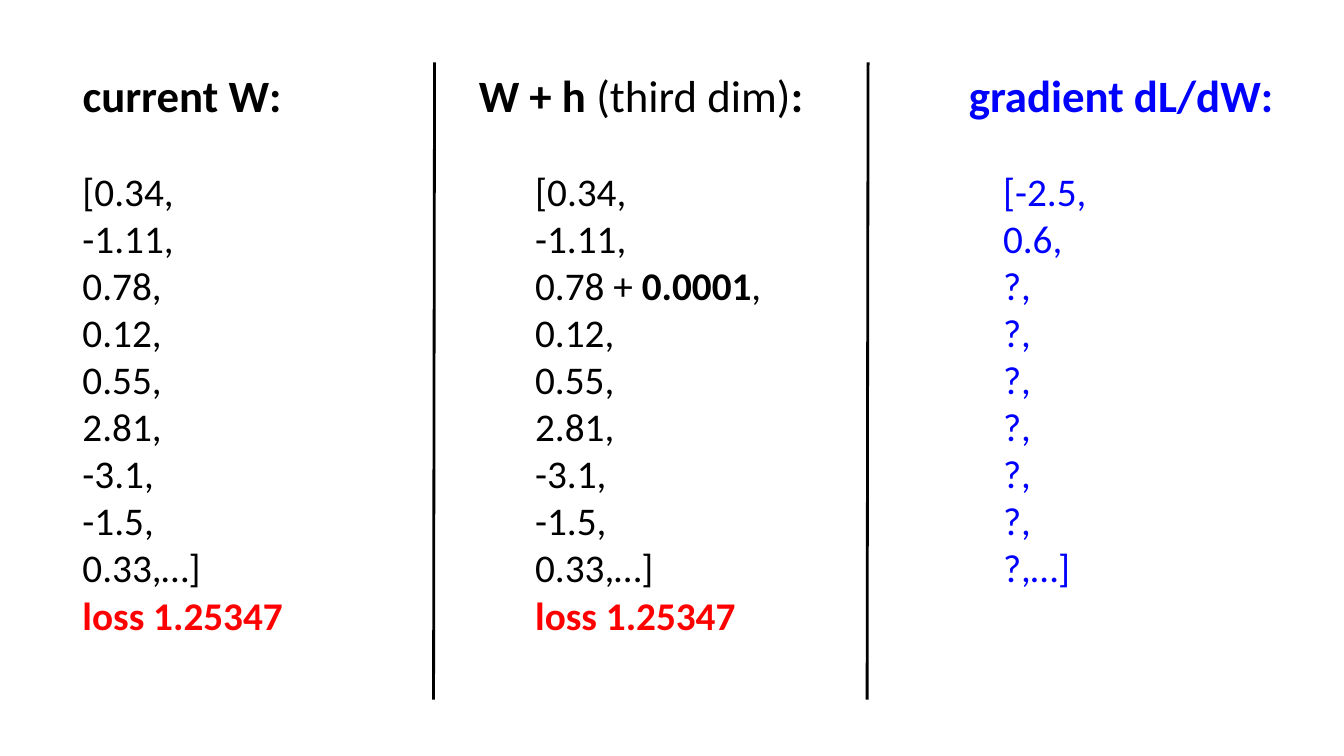
from lxml.etree import SubElement
from pptx import Presentation
from pptx.dml.color import RGBColor as RGB
from pptx.enum.shapes import MSO_CONNECTOR as LINE
from pptx.enum.text import MSO_AUTO_SIZE as FIT
from pptx.oxml.ns import qn
from pptx.util import Inches, Pt

COLORS = {"ink": "000000", "loss": "FF0000", "grad": "0000FF"}
TOP, BASE, LIST_TOP = 0.62, 6.94, 1.61

START = ["[0.34,", "-1.11,"]
REST = ["0.12,", "0.55,", "2.81,", "-3.1,", "-1.5,", "0.33,…]"]
LOSS = "loss 1.25347"


def color(name):
    return RGB.from_string(COLORS[name])


def add_text(slide, box, rows, size, tint, wrap):
    """Each row is a string, or a list of (text, bold) parts."""
    frame = slide.shapes.add_textbox(*map(Inches, box)).text_frame
    frame.word_wrap = wrap
    frame.auto_size = FIT.SHAPE_TO_FIT_TEXT
    for i, row in enumerate(rows):
        para = frame.add_paragraph() if i else frame.paragraphs[0]
        font = para.font
        font.name, font.size = "Calibri", Pt(size)
        font.color.rgb = color("loss" if row == LOSS else tint)
        if row == LOSS:
            font.bold = True
        parts = [(row, None)] if isinstance(row, str) else row
        for text, bold in parts:
            run = para.add_run()
            run.text = text
            if bold is not None:
                run.font.bold = bold


def add_column(slide, head_box, head, list_box, rows, tint="ink"):
    """Boxes are (left, width, height); tops are shared by all columns."""
    for top, box, lines, size, wrap in (
        (TOP, head_box, [head], 32, False),
        (LIST_TOP, list_box, rows, 28, True),
    ):
        left, wide, high = box
        add_text(slide, (left, top, wide, high), lines, size, tint, wrap)


def add_rule(slide, left):
    rule = slide.shapes.add_connector(
        LINE.STRAIGHT, Inches(left), Inches(TOP), Inches(left - 0.01), Inches(BASE))
    rule.line.color.rgb = color("ink")
    rule.line.width = Pt(2)
    SubElement(rule._element.spPr, qn("a:effectLst"))


def main():
    deck = Presentation()
    deck.slide_width, deck.slide_height = Inches(13.33), Inches(7.5)
    slide = deck.slides.add_slide(deck.slide_layouts[6])

    for left in (4.31, 8.61):
        add_rule(slide, left)

    add_column(slide, (0.72, 2.19, 0.64), [("current W:", True)],
               (0.72, 2.46, 4.81), START + ["0.78,"] + REST + [LOSS])

    step = [("0.78 + ", False), ("0.0001", True), (",", False)]
    add_column(slide, (4.65, 3.45, 0.64),
               [("W + h ", True), ("(third dim)", False), (":", True)],
               (5.21, 2.67, 4.81), START + [step] + REST + [LOSS])

    add_column(slide, (9.51, 3.25, 0.64), [("gradient dL/dW:", True)],
               (9.85, 1.98, 4.34),
               ["[-2.5,", "0.6,"] + ["?,"] * 6 + ["?,…]"], "grad")

    deck.save("out.pptx")


if __name__ == "__main__":
    main()
